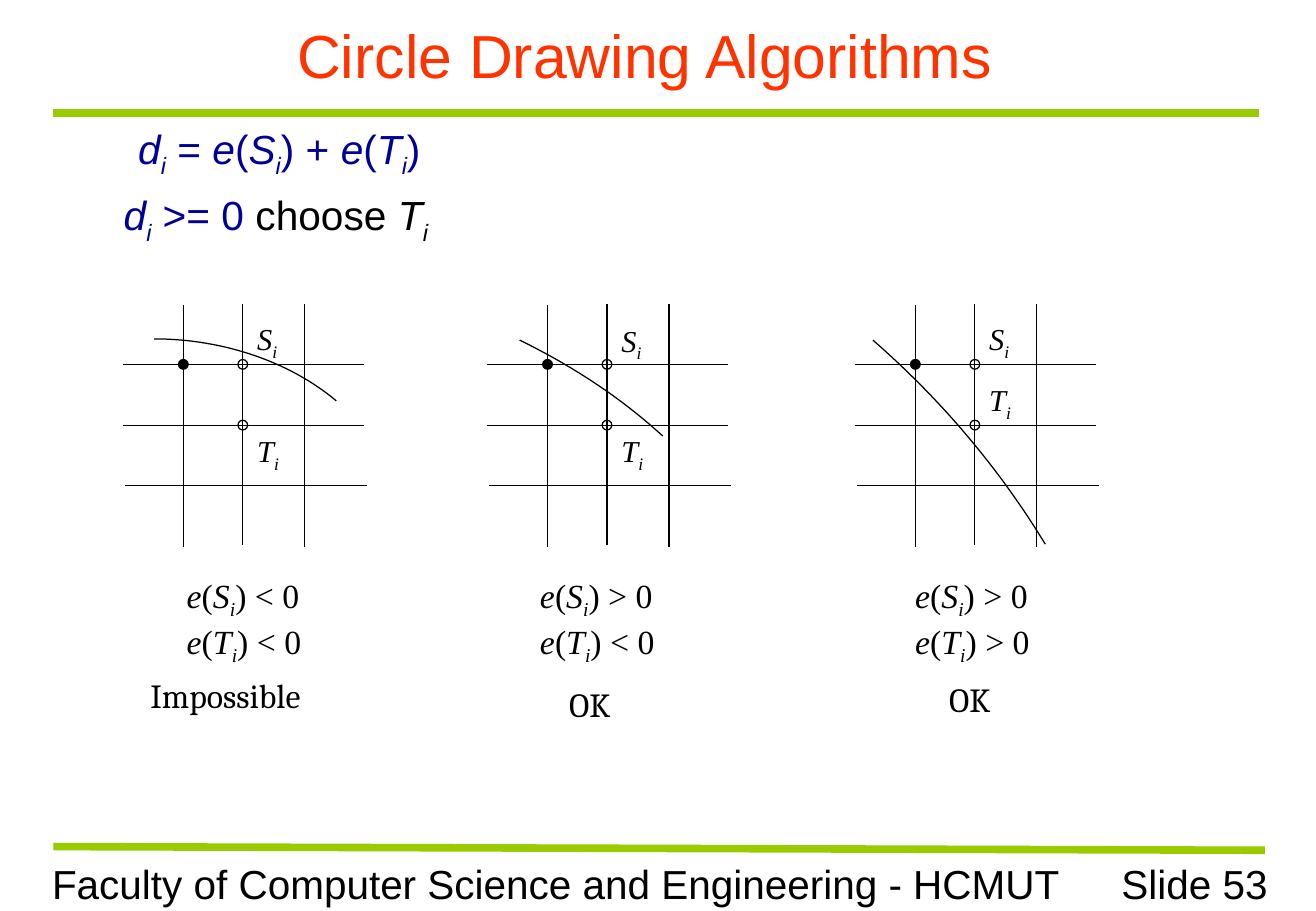
from lxml import etree
from pptx import Presentation
from pptx import util as u
from pptx.dml.color import RGBColor
from pptx.enum import shapes, text
from pptx.oxml.ns import qn

PX = 9144  # 100 px to the inch
rgb = RGBColor.from_string
BLACK, GREEN, NAVY, RED = "000000", "99CC00", "000099", "FF3300"

prs = Presentation()
prs.slide_width, prs.slide_height = 1084 * PX, 750 * PX
s = prs.slides.add_slide(prs.slide_layouts[6])


def add_line(x1, y1, x2, y2, color=BLACK, width=0.75):
    c = s.shapes.add_connector(shapes.MSO_CONNECTOR.STRAIGHT,
                               x1 * PX, y1 * PX, x2 * PX, y2 * PX)
    c.line.color.rgb = rgb(color)
    c.line.width = u.Pt(width)
    etree.SubElement(c._element.spPr, qn("a:effectLst"))


def add_text(x, y, w, h, lines, size, font="Arial", color=BLACK):
    """Runs are parted by |; a leading / is italic, a leading _ an italic subscript."""
    tf = s.shapes.add_textbox(x * PX, y * PX, w * PX, h * PX).text_frame
    tf.word_wrap = True
    for n, line in enumerate(lines):
        p = tf.add_paragraph() if n else tf.paragraphs[0]
        for part in line.split("|"):
            r = p.add_run()
            r.text = part.lstrip("/_")
            r.font.size, r.font.name = u.Pt(size), font
            r.font.color.rgb = rgb(color)
            r.font.italic = part[0] in "/_"
            if part[0] == "_":
                r._r.get_or_add_rPr().set("baseline", "-25000")
    return tf


# Title, rules and footer
tf = add_text(33, 10, 996, 70, ["Circle Drawing Algorithms"], 36, color=RED)
tf.vertical_anchor = text.MSO_ANCHOR.MIDDLE
tf.paragraphs[0].alignment = text.PP_ALIGN.CENTER
add_line(44, 93, 1037, 93, GREEN, 4.5)
add_line(44, 697, 1042, 700, GREEN, 4.5)
add_text(33, 702, 852, 50, ["Faculty of Computer Science and Engineering - HCMUT"], 24)
tf = add_text(855, 702, 199, 50, ["Slide 53"], 24)
tf.paragraphs[0].alignment = text.PP_ALIGN.RIGHT

# Decision rule
tf = add_text(54, 97, 975, 112,
              ["/d|_i| = |/e|(|/S|_i|) + |/e|(|/T|_i|)",
               "/d|_i| >= 0 |choose |/T|_i"], 24.1, color=NAVY)
for p, indent in zip(tf.paragraphs, (50, 38)):
    p._p.get_or_add_pPr().set("marL", str(indent * PX))
tf.paragraphs[1].space_before = u.Pt(6.5)
for r in tf.paragraphs[1].runs[3:]:
    r.font.color.rgb = rgb(BLACK)

# Cases: grid left, Bezier points, top of S and T, signs and their left, verdict and its place
cases = [
    (101, [(127, 279), (184, 279), (239, 298), (277, 330)], 259, 351,
     "<<", 144, "Impossible", (114, 551, 163)),
    (401, [(428, 280), (471, 301), (511, 327), (546, 359)], 260, 351,
     "><", 435, "OK", (459, 558, 59)),
    (704, [(719, 280), (774, 328), (822, 384), (861, 448)], 259, 309,
     ">>", 744, "OK", (772, 554, 59)),
]
STEPS = 32
for left, curve, s_top, t_top, signs, sign_left, verdict, (vx, vy, vw) in cases:
    # Pixel grid
    for dx, top, bottom in ((50, 251, 450), (99, 250, 449), (150, 250, 450)):
        add_line(left + dx, top, left + dx, bottom)
    for y, shift in ((300, 0), (350, 0), (400, 2)):
        add_line(left + shift, y, left + 199 + shift, y)

    # Current pixel and the two candidates
    for dx, y, filled in ((50, 300, True), (99, 300, False), (99, 350, False)):
        sp = s.shapes.add_shape(shapes.MSO_SHAPE.OVAL, (left + dx - 4) * PX,
                                (y - 4) * PX, 8 * PX, 8 * PX)
        sp.shadow.inherit = False
        sp.line.color.rgb = rgb(BLACK)
        sp.line.width = u.Pt(0.75)
        if filled:
            sp.fill.solid()
            sp.fill.fore_color.rgb = rgb(BLACK)
        else:
            sp.fill.background()

    # Circle arc
    points = []
    for k in range(STEPS + 1):
        t = k / STEPS
        weights = ((1 - t) ** 3, 3 * t * (1 - t) ** 2, 3 * t * t * (1 - t), t ** 3)
        points.append(tuple(round(PX * sum(b * pt[axis] for b, pt in zip(weights, curve)))
                            for axis in (0, 1)))
    arc = s.shapes.build_freeform(*points[0])
    arc.add_line_segments(points[1:], close=False)
    sp = arc.convert_to_shape()
    sp.shadow.inherit = False
    sp.fill.background()
    sp.line.color.rgb = rgb(BLACK)
    sp.line.width = u.Pt(0.75)

    # Labels, signs of the errors and verdict
    for name, top in (("S", s_top), ("T", t_top)):
        add_text(left + 101, top, 42, 44, [f"/{name}|_i"], 18, "Times New Roman")
    add_text(sign_left, 468, 124, 86,
             [f"/e|(|/{name}|_i|) {sign} 0" for name, sign in zip("ST", signs)],
             20, "Times New Roman")
    add_text(vx, vy, vw, 44, [verdict], 20, "Cambria")

prs.save("out.pptx")
